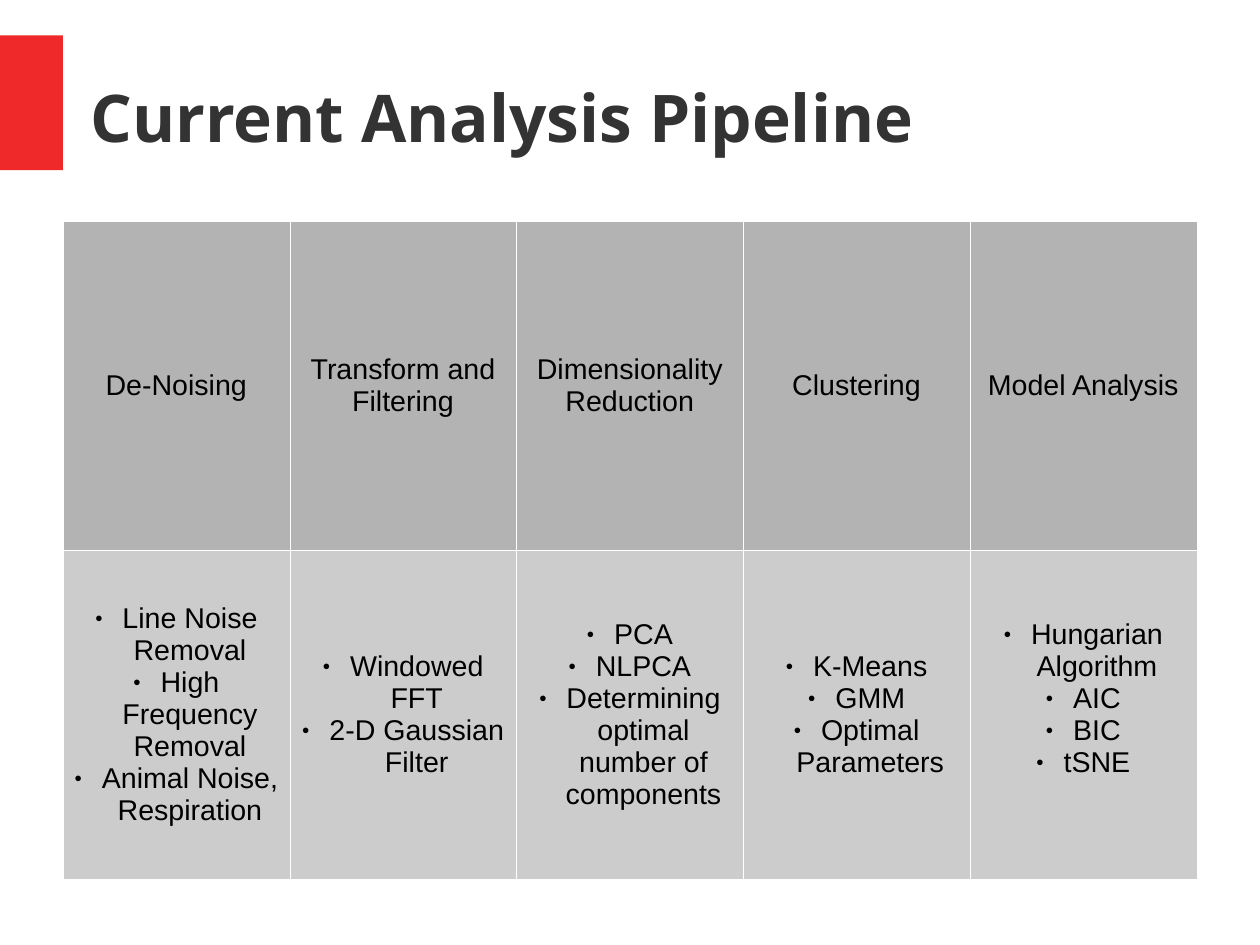
from lxml.etree import SubElement
from pptx import Presentation
from pptx.dml.color import RGBColor
from pptx.enum.shapes import MSO_SHAPE
from pptx.enum.text import MSO_ANCHOR, PP_ALIGN
from pptx.oxml import parse_xml
from pptx.oxml.ns import nsdecls, qn
from pptx.util import Cm, Inches, Pt

STAGES = [
    ("De-Noising", ["Line Noise Removal", "High Frequency Removal", "Animal Noise, Respiration"]),
    ("Transform and Filtering", ["Windowed FFT", "2-D Gaussian Filter"]),
    ("Dimensionality Reduction", ["PCA", "NLPCA", "Determining optimal number of components"]),
    ("Clustering", ["K-Means", "GMM", "Optimal Parameters"]),
    ("Model Analysis", ["Hungarian Algorithm", "AIC", "BIC", "tSNE"]),
]
LAST_STEPS_BOTTOM = 0.33


def color(value):
    """Turn a hex string into a colour."""
    return RGBColor.from_string(value)


def add_bullet(paragraph):
    """Give a paragraph a small round bullet with a hanging indent."""
    properties = paragraph._p.get_or_add_pPr()
    properties.set("marL", str(Inches(0.24)))
    properties.set("indent", str(Inches(-0.24)))
    bullet_color = SubElement(properties, qn("a:buClr"))
    SubElement(bullet_color, qn("a:srgbClr"), val="000000")
    SubElement(properties, qn("a:buSzPct"), val="45000")
    SubElement(properties, qn("a:buFont"), typeface="Arial")
    SubElement(properties, qn("a:buChar"), char="●")


def write(frame, lines, size=18, font="Arial", ink="000000", bold=False,
          align=PP_ALIGN.CENTER, bullets=False):
    """Write one formatted paragraph per line into a text frame."""
    frame.word_wrap = True
    for index, line in enumerate(lines):
        paragraph = frame.add_paragraph() if index else frame.paragraphs[0]
        paragraph.alignment = align
        if bullets:
            add_bullet(paragraph)
        run = paragraph.add_run()
        run.text = line
        run.font.size = Pt(size)
        run.font.name = font
        run.font.bold = bold
        run.font.color.rgb = color(ink)


def add_borders(cell, ink="FFFFFF", width=0.06):
    """Draw a thin line on each side of a cell."""
    properties = cell._tc.get_or_add_tcPr()
    for index, side in enumerate("LRTB"):
        properties.insert(index, parse_xml(
            f'<a:ln{side} {nsdecls("a")} w="{Pt(width)}"><a:solidFill>'
            f'<a:srgbClr val="{ink}"/></a:solidFill></a:ln{side}>'))


def add_header(slide, left, top, width, height):
    """Place the red tab and the title in the header box."""
    tab = slide.shapes.add_shape(
        MSO_SHAPE.RECTANGLE, Inches(left), Inches(top), Inches(0.55), Inches(1.18))
    tab.shadow.inherit = False
    tab.fill.solid()
    tab.fill.fore_color.rgb = color("EF2929")
    tab.line.fill.background()
    title = slide.shapes.add_textbox(
        Inches(left + 0.79), Inches(top + 0.02), Inches(width - 0.79), Inches(height)).text_frame
    title.margin_left = title.margin_right = title.margin_top = title.margin_bottom = 0
    title.vertical_anchor = MSO_ANCHOR.MIDDLE
    write(title, ["Current Analysis Pipeline"], size=41.4, font="Open Sans",
          ink="333333", bold=True, align=PP_ALIGN.LEFT)


def fill_cell(cell, lines, shade, bullets=False):
    """Write and colour one cell of the pipeline."""
    cell.vertical_anchor = MSO_ANCHOR.MIDDLE
    cell.fill.solid()
    cell.fill.fore_color.rgb = color(shade)
    add_borders(cell)
    write(cell.text_frame, lines, bullets=bullets)


def add_pipeline(slide, left, top, width, height):
    """Place the table with one column per stage in the given box."""
    pipeline = slide.shapes.add_table(
        2, len(STAGES), Inches(left), Inches(top), Inches(width), Inches(height)).table
    for row in pipeline.rows:
        row.height = Inches(height / 2)
    for column, (stage, steps) in enumerate(STAGES):
        pipeline.columns[column].width = Inches(width / len(STAGES))
        fill_cell(pipeline.cell(0, column), [stage], "B3B3B3")
        fill_cell(pipeline.cell(1, column), steps, "CCCCCC", bullets=True)
    pipeline.cell(1, len(STAGES) - 1).margin_bottom = Inches(LAST_STEPS_BOTTOM)


def main():
    """Build the slide and save it."""
    presentation = Presentation()
    presentation.slide_width = Cm(28)
    presentation.slide_height = Cm(21)
    slide = presentation.slides.add_slide(presentation.slide_layouts[6])
    add_header(slide, 0, 0.31, 10.47, 1.38)
    add_pipeline(slide, 0.55, 1.93, 9.92, 5.76)
    presentation.save("out.pptx")


if __name__ == "__main__":
    main()
